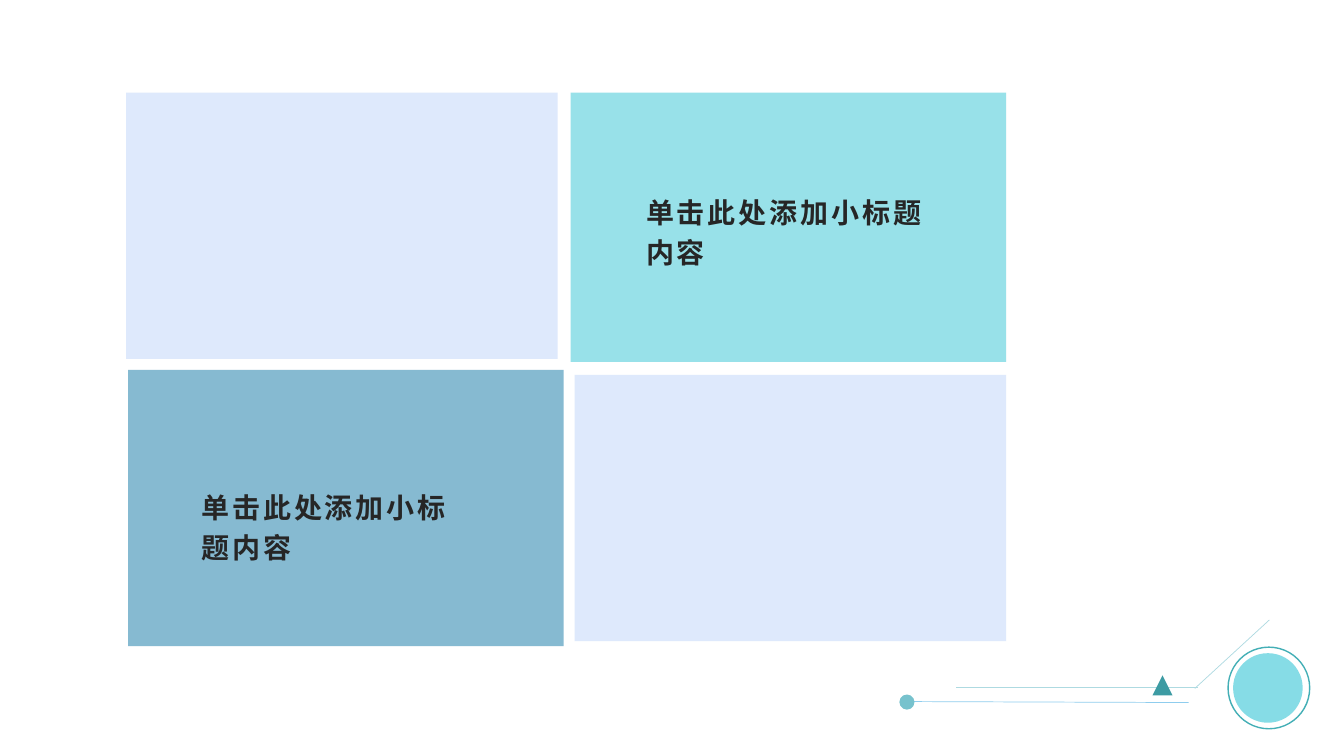
from dataclasses import dataclass

from lxml.etree import SubElement
from pptx import Presentation
from pptx.dml.color import RGBColor
from pptx.enum.shapes import MSO_CONNECTOR, MSO_SHAPE
from pptx.enum.text import MSO_ANCHOR, PP_ALIGN
from pptx.oxml.ns import qn
from pptx.util import Inches, Pt


@dataclass(frozen=True)
class Theme:
    font: str = "Arial"
    size: int = 20
    ink: str = "262626"
    blue: str = "7FB6CF"
    aqua: str = "86DCE6"
    pale: str = "CFE0FB"
    ring: str = "44AFB6"
    rail: str = "AEDAE1"
    sky: str = "8FCDEE"
    dot: str = "77C2CD"
    peak: str = "3D9BA3"


THEME = Theme()
HEAD = "单击此处添加小标题内容"


def add_form(slide, kind, box, fill=None, alpha=100, line=None):
    form = slide.shapes.add_shape(kind, *map(Inches, box))
    form.shadow.inherit = False
    if fill:
        form.fill.solid()
        form.fill.fore_color.rgb = RGBColor.from_string(fill)
        if alpha < 100:
            color = form.fill._xPr.find(qn("a:solidFill"))[0]
            SubElement(color, qn("a:alpha"), val=str(alpha * 1000))
    else:
        form.fill.background()
    if line:
        form.line.color.rgb = RGBColor.from_string(line)
        form.line.width = Pt(1)
    else:
        form.line.fill.background()


def add_line(slide, start, end, color):
    line = slide.shapes.add_connector(
        MSO_CONNECTOR.STRAIGHT, *map(Inches, start + end))
    line.line.color.rgb = RGBColor.from_string(color)
    line.line.width = Pt(0.5)
    SubElement(line._element.spPr, qn("a:effectLst"))


def add_head(slide, box):
    frame = slide.shapes.add_textbox(*map(Inches, box)).text_frame
    frame.word_wrap = True
    frame.vertical_anchor = MSO_ANCHOR.MIDDLE
    frame.margin_left = frame.margin_right = Inches(0.1)
    frame.margin_top, frame.margin_bottom = Inches(0.05), 0
    frame.text = HEAD
    para = frame.paragraphs[0]
    para.alignment = PP_ALIGN.LEFT
    para.line_spacing = 1.2
    run = para.runs[0]
    run.font.name = THEME.font
    run.font.size = Pt(THEME.size)
    run.font.bold = True
    run.font.color.rgb = RGBColor.from_string(THEME.ink)
    props = run._r.get_or_add_rPr()
    props.set("spc", "200")
    SubElement(props, qn("a:ea"), typeface=THEME.font)


def add_tiles(slide, left, top):
    # Each tile: offset, size, fill, opacity, heading box within the tile
    tiles = [
        (0.02, 2.75, 4.32, 2.74, THEME.blue, 94, (0.63, 0.9, 2.84, 1.2)),
        (4.41, 0, 4.32, 2.67, THEME.aqua, 85, (0.65, 0.69, 3.01, 1.27)),
        (0, 0, 4.28, 2.64, THEME.pale, 68, None),
        (4.45, 2.8, 4.28, 2.64, THEME.pale, 68, None),
    ]
    for dx, dy, width, height, fill, alpha, head in tiles:
        x, y = left + dx, top + dy
        add_form(slide, MSO_SHAPE.RECTANGLE, (x, y, width, height), fill, alpha)
        if head:
            add_head(slide, (x + head[0], y + head[1], *head[2:]))


def add_corner(slide, left, top):
    # Disc inside a ring
    add_form(slide, MSO_SHAPE.OVAL, (left + 3.31, top + 0.33, 0.69, 0.69),
             THEME.aqua)
    add_form(slide, MSO_SHAPE.OVAL, (left + 3.26, top + 0.27, 0.81, 0.81),
             line=THEME.ring)

    # Thin rails
    rails = [
        ((3.67, 0), (2.93, 0.68), THEME.rail),
        ((2.96, 0.67), (0.56, 0.67), THEME.rail),
        ((0.07, 0.81), (2.87, 0.82), THEME.sky),
    ]
    for (x1, y1), (x2, y2), color in rails:
        add_line(slide, (left + x1, top + y1), (left + x2, top + y2), color)

    # Markers on the rails
    add_form(slide, MSO_SHAPE.OVAL, (left, top + 0.74, 0.15, 0.15), THEME.dot)
    add_form(slide, MSO_SHAPE.ISOSCELES_TRIANGLE,
             (left + 2.51, top + 0.55, 0.2, 0.2), THEME.peak)


def main():
    deck = Presentation()
    deck.slide_width, deck.slide_height = Inches(13.33), Inches(7.5)
    slide = deck.slides.add_slide(deck.slide_layouts[6])
    add_tiles(slide, 1.25, 0.92)
    add_corner(slide, 8.92, 6.15)
    deck.save("out.pptx")


if __name__ == "__main__":
    main()
